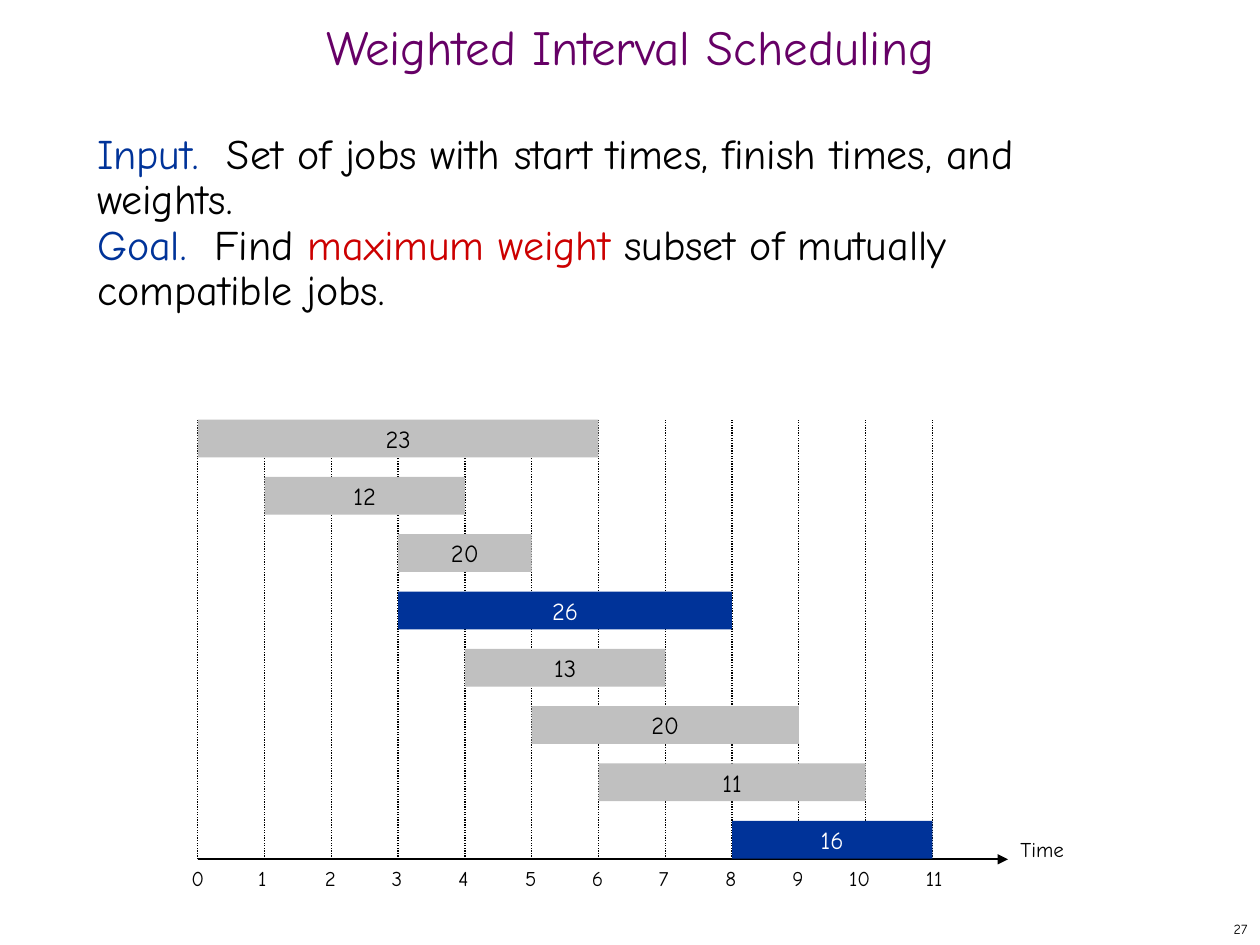
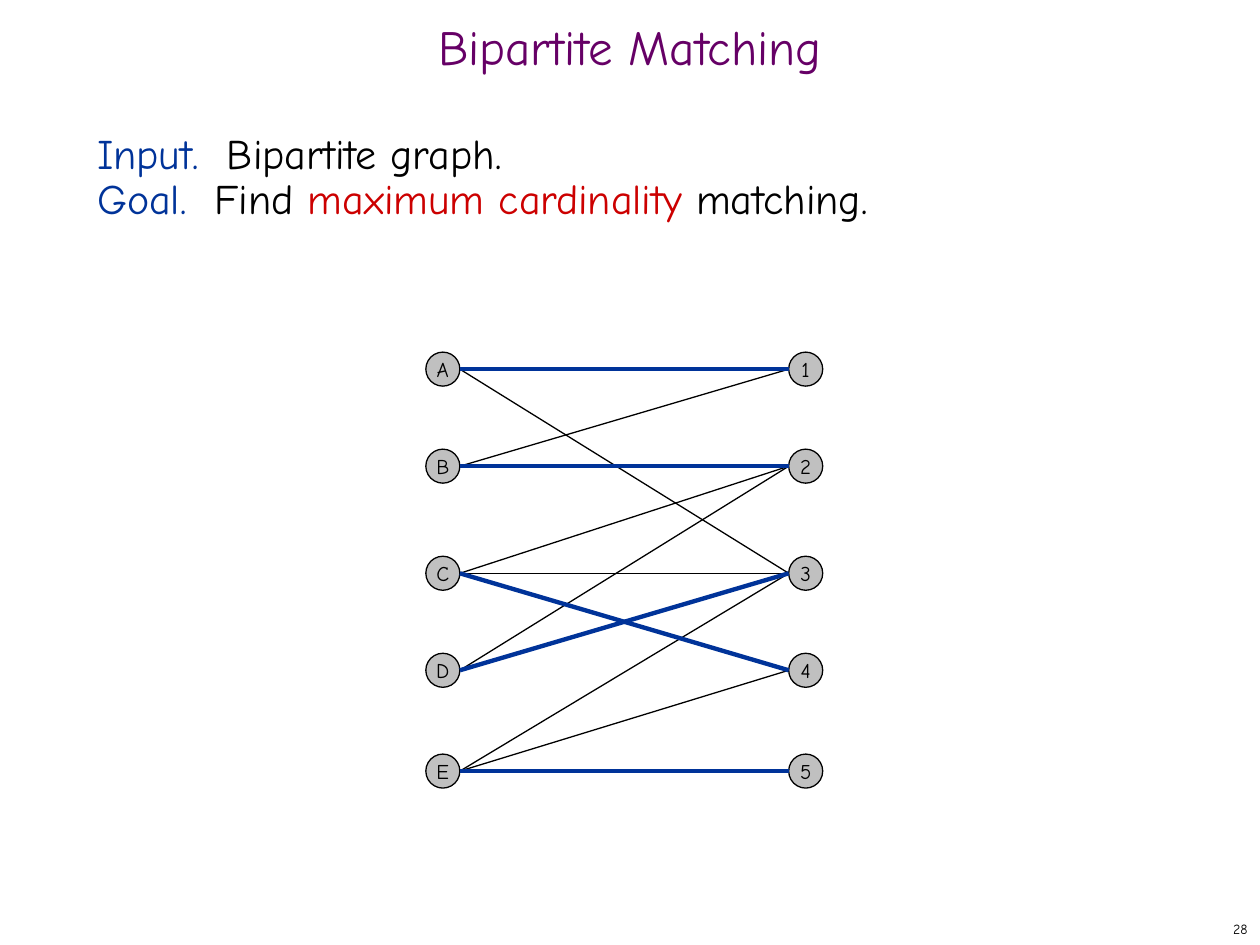
from lxml.etree import SubElement
from pptx import Presentation
from pptx.dml.color import RGBColor
from pptx.enum.dml import MSO_LINE
from pptx.enum.shapes import MSO_CONNECTOR, MSO_SHAPE
from pptx.enum.text import MSO_ANCHOR, MSO_AUTO_SIZE, PP_ALIGN
from pptx.oxml.ns import qn
from pptx.util import Inches, Pt

BLACK = RGBColor(0x00, 0x00, 0x00)
WHITE = RGBColor(0xFF, 0xFF, 0xFF)
PURPLE = RGBColor(0x66, 0x00, 0x66)
BLUE = RGBColor(0x00, 0x33, 0x99)
RED = RGBColor(0xCC, 0x00, 0x00)
GRAY = RGBColor(0xC0, 0xC0, 0xC0)

FONT = "Comic Neue"
COLUMNS, ROWS = 100, 75  # grid over the whole slide


class Deck:
    """Shared style and the current slide; all places are in grid units."""

    def __init__(self):
        self.prs = Presentation()
        self.prs.slide_width = Inches(10)
        self.prs.slide_height = Inches(7.5)
        self.slide = None

    def place(self, col, row):
        return (round(self.prs.slide_width * col / COLUMNS),
                round(self.prs.slide_height * row / ROWS))

    def box(self, col, row, cols, rows):
        return *self.place(col, row), *self.place(cols, rows)

    def run(self, paragraph, text, size, color):
        run = paragraph.add_run()
        run.text = text
        run.font.name = FONT
        run.font.size = Pt(size)
        run.font.color.rgb = color

    def fit(self, placeholder, *area):
        (placeholder.left, placeholder.top,
         placeholder.width, placeholder.height) = self.box(*area)
        placeholder.text_frame.auto_size = MSO_AUTO_SIZE.NONE
        return placeholder.text_frame

    def start(self, title, number, statements):
        """New slide with title, page number and lines of (text, color) runs."""
        self.slide = self.prs.slides.add_slide(self.prs.slide_layouts[1])
        heading = self.fit(self.slide.shapes.title, 0, 1.7, COLUMNS, 5)
        heading.vertical_anchor = MSO_ANCHOR.MIDDLE
        heading.paragraphs[0].alignment = PP_ALIGN.CENTER
        heading.paragraphs[0].line_spacing = 0.7
        self.run(heading.paragraphs[0], title, 28, PURPLE)

        body = self.fit(self.slide.placeholders[1], 6.7, 10, 85.8, 59.2)
        for index, statement in enumerate(statements):
            line = body.add_paragraph() if index else body.paragraphs[0]
            line.line_spacing = Pt(26)
            line.space_before = Pt(0)
            properties = line._p.get_or_add_pPr()
            properties.set("marL", "0")
            properties.set("indent", "0")
            SubElement(properties, qn("a:buNone"))
            for text, color in statement:
                self.run(line, text, 24, color)

        self.label(str(number), 79.2, 72.5, 20.8, 2.5, size=8,
                   align=PP_ALIGN.RIGHT, anchor=MSO_ANCHOR.MIDDLE)

    def label(self, text, *area, size=12, align=PP_ALIGN.LEFT,
              anchor=MSO_ANCHOR.TOP):
        frame = self.slide.shapes.add_textbox(*self.box(*area)).text_frame
        frame.word_wrap = True
        frame.vertical_anchor = anchor
        frame.paragraphs[0].alignment = align
        self.run(frame.paragraphs[0], text, size, BLACK)

    def block(self, kind, text, *area, size, fill=GRAY, color=BLACK,
              outline=None):
        shape = self.slide.shapes.add_shape(kind, *self.box(*area))
        shape.shadow.inherit = False
        shape.fill.solid()
        shape.fill.fore_color.rgb = fill
        if outline:
            shape.line.color.rgb = outline
            shape.line.width = Pt(0.75)
        else:
            shape.line.fill.background()
        frame = shape.text_frame
        frame.word_wrap = False
        frame.vertical_anchor = MSO_ANCHOR.MIDDLE
        frame.paragraphs[0].alignment = PP_ALIGN.CENTER
        self.run(frame.paragraphs[0], text, size, color)

    def line(self, start, end, width=0.75, color=BLACK, dash=None, arrow=False):
        connector = self.slide.shapes.add_connector(
            MSO_CONNECTOR.STRAIGHT, *self.place(*start), *self.place(*end))
        connector.line.color.rgb = color
        connector.line.width = Pt(width)
        if dash:
            connector.line.dash_style = dash
        if arrow:
            SubElement(connector.line._get_or_add_ln(), qn("a:tailEnd"),
                       type="triangle")
        SubElement(connector._element.spPr, qn("a:effectLst"))


def weighted_intervals(deck):
    deck.start("Weighted Interval Scheduling", 27, [
        [("Input.  ", BLUE),
         ("Set of jobs with start times, finish times, and weights.", BLACK)],
        [("Goal.  ", BLUE), ("Find ", BLACK), ("maximum weight", RED),
         (" subset of mutually compatible jobs.", BLACK)],
    ])
    origin, hour = 15.7, 5.3
    top, axis, job_step, job_height = 33.3, 68.2, 4.55, 3
    last_hour = 11

    # Time axis with dotted hour lines
    deck.line((origin, axis), (80, axis), width=1, arrow=True)
    deck.label("Time", 80, 65.9, 8.3, 3)
    label_shift = {10: 2.3}  # the first two-digit hour sits further left
    for tick in range(last_hour + 1):
        col = origin + tick * hour
        deck.line((col, axis), (col, top), dash=MSO_LINE.ROUND_DOT)
        deck.label(str(tick), col - label_shift.get(tick, 1.5), axis, 4.6, 3)

    # Jobs: start, finish, weight; the best subset is blue
    jobs = [(0, 6, 23), (1, 4, 12), (3, 5, 20), (3, 8, 26),
            (4, 7, 13), (5, 9, 20), (6, 10, 11), (8, 11, 16)]
    best = {(3, 8, 26), (8, 11, 16)}
    for index, job in enumerate(jobs):
        begin, finish, weight = job
        chosen = job in best
        deck.block(MSO_SHAPE.RECTANGLE, str(weight),
                   origin + begin * hour, top + index * job_step,
                   (finish - begin) * hour, job_height, size=14,
                   fill=BLUE if chosen else GRAY,
                   color=WHITE if chosen else BLACK)


def bipartite_matching(deck):
    deck.start("Bipartite Matching", 28, [
        [("Input.  ", BLUE), ("Bipartite graph.", BLACK)],
        [("Goal.  ", BLUE), ("Find ", BLACK), ("maximum cardinality", RED),
         (" matching.", BLACK)],
    ])
    left, right, node = 33.8, 62.6, 2.7
    centers = [29.3, 37, 45.5, 53.2, 61.2]
    left_rows = dict(zip("ABCDE", centers))
    right_rows = dict(zip("12345", centers))

    # Nodes
    for col, side in ((left, left_rows), (right, right_rows)):
        for name, center in side.items():
            deck.block(MSO_SHAPE.OVAL, name, col, center - node / 2,
                       node, node, size=12, outline=BLACK)

    # All edges, then the matching on top
    edges = "A1 A3 B1 B2 C2 C3 C4 D2 D3 E3 E4 E5".split()
    matching = "A1 B2 C4 D3 E5".split()
    for pairs, width, color in ((edges, 0.75, BLACK), (matching, 2.5, BLUE)):
        for source, target in pairs:
            deck.line((left + node, left_rows[source]),
                      (right, right_rows[target]), width, color)


def main():
    deck = Deck()
    weighted_intervals(deck)
    bipartite_matching(deck)
    deck.prs.save("out.pptx")


if __name__ == "__main__":
    main()
